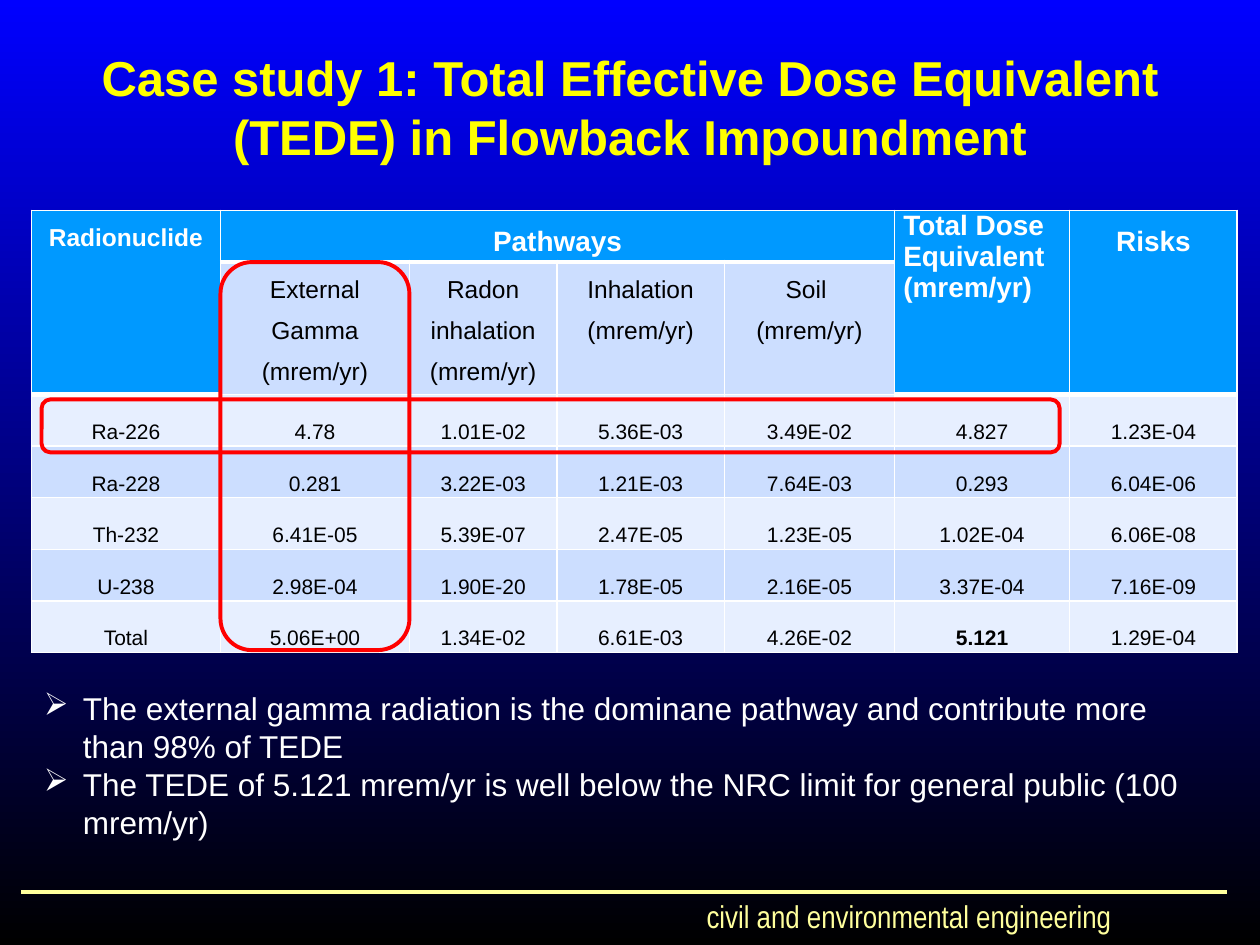
from pptx import Presentation
from pptx.dml.color import RGBColor
from pptx.enum import shapes, text
from pptx.oxml import parse_xml
from pptx.oxml.ns import nsdecls
from pptx.util import Inches, Pt

TITLE = "Case study 1: Total Effective Dose Equivalent (TEDE) in Flowback Impoundment"
FOOTER = "civil and environmental engineering"
FINDINGS = [
    "The external gamma radiation is the dominane pathway and contribute more than 98% of TEDE",
    "The TEDE of 5.121 mrem/yr is well below the NRC limit for general public (100 mrem/yr)",
]
HEADERS = [
    (0, 2, 1, ["Radionuclide"], 14, 1.5),
    (1, 1, 4, ["Pathways"], 16, 1.5),
    (5, 2, 1, ["Total Dose Equivalent", "(mrem/yr)"], 16, 1),
    (6, 2, 1, ["Risks"], 16, 1.5),
]
PATHWAYS = [
    ["External Gamma (mrem/yr)"],
    ["Radon inhalation (mrem/yr)"],
    ["Inhalation (mrem/yr)"],
    ["Soil ", "(mrem/yr)"],
]
DOSES = [
    ("Ra-226", "4.78", "1.01E-02", "5.36E-03", "3.49E-02", "4.827", "1.23E-04"),
    ("Ra-228", "0.281", "3.22E-03", "1.21E-03", "7.64E-03", "0.293", "6.04E-06"),
    ("Th-232", "6.41E-05", "5.39E-07", "2.47E-05", "1.23E-05", "1.02E-04", "6.06E-08"),
    ("U-238", "2.98E-04", "1.90E-20", "1.78E-05", "2.16E-05", "3.37E-04", "7.16E-09"),
    ("Total", "5.06E+00", "1.34E-02", "6.61E-03", "4.26E-02", "5.121", "1.29E-04"),
]
WIDTHS = [1.5, 1.5, 1.17, 1.33, 1.35, 1.39, 1.33]
HEIGHTS = [0.41, 1.05] + [0.41] * len(DOSES)
HIGHLIGHTS = [(0.33, 3.17, 8.08, 0.42), (1.75, 2.08, 1.5, 3.08)]
BANDS = ["E7EFFF", "CCDEFF"]
HEADER_FILL = "0099FF"
LEFT, CENTER, RIGHT = text.PP_ALIGN.LEFT, text.PP_ALIGN.CENTER, text.PP_ALIGN.RIGHT


def color(value):
    return RGBColor.from_string(value)


def write(frame, lines, size, tint, align=LEFT, bold=False, font="Arial", spacing=None, bullet=None):
    for index, line in enumerate(lines):
        para = frame.paragraphs[0] if index == 0 else frame.add_paragraph()
        para.alignment = align
        if spacing:
            para.line_spacing = spacing
        if bullet:
            props = para._p.get_or_add_pPr()
            props.set("marL", str(Inches(0.31)))
            props.set("indent", str(-Inches(0.31)))
            props.append(parse_xml(f'<a:buChar {nsdecls("a")} char="{bullet}"/>'))
        span = para.add_run()
        span.text = line
        span.font.name = font
        span.font.size = Pt(size)
        span.font.bold = bold
        span.font.color.rgb = color(tint)


def add_text(page, place, lines, size, tint, **style):
    frame = page.shapes.add_textbox(*map(Inches, place)).text_frame
    frame.word_wrap = True
    write(frame, lines, size, tint, **style)


def border(cell, bottom=1):
    props = cell._tc.get_or_add_tcPr()
    for position, (side, width) in enumerate([("L", 1), ("R", 1), ("T", 1), ("B", bottom)]):
        props.insert(position, parse_xml(
            f'<a:ln{side} {nsdecls("a")} w="{Pt(width)}"><a:solidFill>'
            f'<a:srgbClr val="FFFFFF"/></a:solidFill></a:ln{side}>'))


def paint(cell, fill, bottom=1):
    cell.margin_left = cell.margin_right = Inches(0.07)
    cell.margin_top = cell.margin_bottom = 0
    cell.fill.solid()
    cell.fill.fore_color.rgb = color(fill)
    border(cell, bottom)


def add_dose_table(page):
    table = page.shapes.add_table(
        len(HEIGHTS), len(WIDTHS), Inches(0.25), Inches(1.67),
        Inches(sum(WIDTHS)), Inches(sum(HEIGHTS))).table
    for column, width in zip(table.columns, WIDTHS):
        column.width = Inches(width)
    for row, height in zip(table.rows, HEIGHTS):
        row.height = Inches(height)

    for col, tall, wide, lines, size, spacing in HEADERS:
        for r in range(tall):
            for c in range(col, col + wide):
                paint(table.cell(r, c), HEADER_FILL, bottom=3)
        cell = table.cell(0, col)
        cell.merge(table.cell(tall - 1, col + wide - 1))
        align = LEFT if len(lines) > 1 else CENTER
        write(cell.text_frame, lines, size, "FFFFFF", align, True, spacing=spacing)

    for col, lines in enumerate(PATHWAYS, 1):
        cell = table.cell(1, col)
        paint(cell, BANDS[1])
        write(cell.text_frame, lines, 14, "000000", CENTER, spacing=1.5)

    for r, values in enumerate(DOSES):
        for c, value in enumerate(values):
            cell = table.cell(r + 2, c)
            paint(cell, BANDS[r % 2])
            cell.vertical_anchor = text.MSO_ANCHOR.MIDDLE
            write(cell.text_frame, [value], 12, "000000", CENTER, value == "5.121", spacing=2.0)


def add_rule(page):
    rule = page.shapes.add_connector(
        shapes.MSO_CONNECTOR.STRAIGHT, Inches(0.17), Inches(7.08), Inches(9.74), Inches(7.08))
    rule.line.color.rgb = color("FFFF9D")
    rule.line.width = Pt(2.25)
    rule._element.spPr.append(parse_xml(f'<a:effectLst {nsdecls("a")}/>'))


def add_highlight(page, place):
    frame = page.shapes.add_shape(shapes.MSO_SHAPE.ROUNDED_RECTANGLE, *map(Inches, place))
    frame.shadow.inherit = False
    frame.fill.background()
    frame.line.color.rgb = color("FF0000")
    frame.line.width = Pt(2.25)


def main():
    deck = Presentation()
    deck.slide_width, deck.slide_height = Inches(10), Inches(7.5)
    page = deck.slides.add_slide(deck.slide_layouts[6])
    backdrop = page.background.fill
    backdrop.gradient()
    backdrop.gradient_angle = 270
    for stop, tint, position in zip(backdrop.gradient_stops, ["0000FF", "000000"], [0, 1]):
        stop.color.rgb = color(tint)
        stop.position = position

    add_rule(page)
    add_text(page, (2.98, 7.07, 5.94, 0.4), [FOOTER], 18, "FFFF9D", align=RIGHT, font="Arial Narrow")
    add_text(page, (0.25, 0.33, 9.5, 1.25), [TITLE], 28, "FFFF00", align=CENTER, bold=True)
    add_text(page, (0.25, 5.42, 9.33, 1.31), FINDINGS, 18, "FFFFFF", bullet="➢")
    add_dose_table(page)
    for place in HIGHLIGHTS:
        add_highlight(page, place)
    deck.save("out.pptx")


if __name__ == "__main__":
    main()
